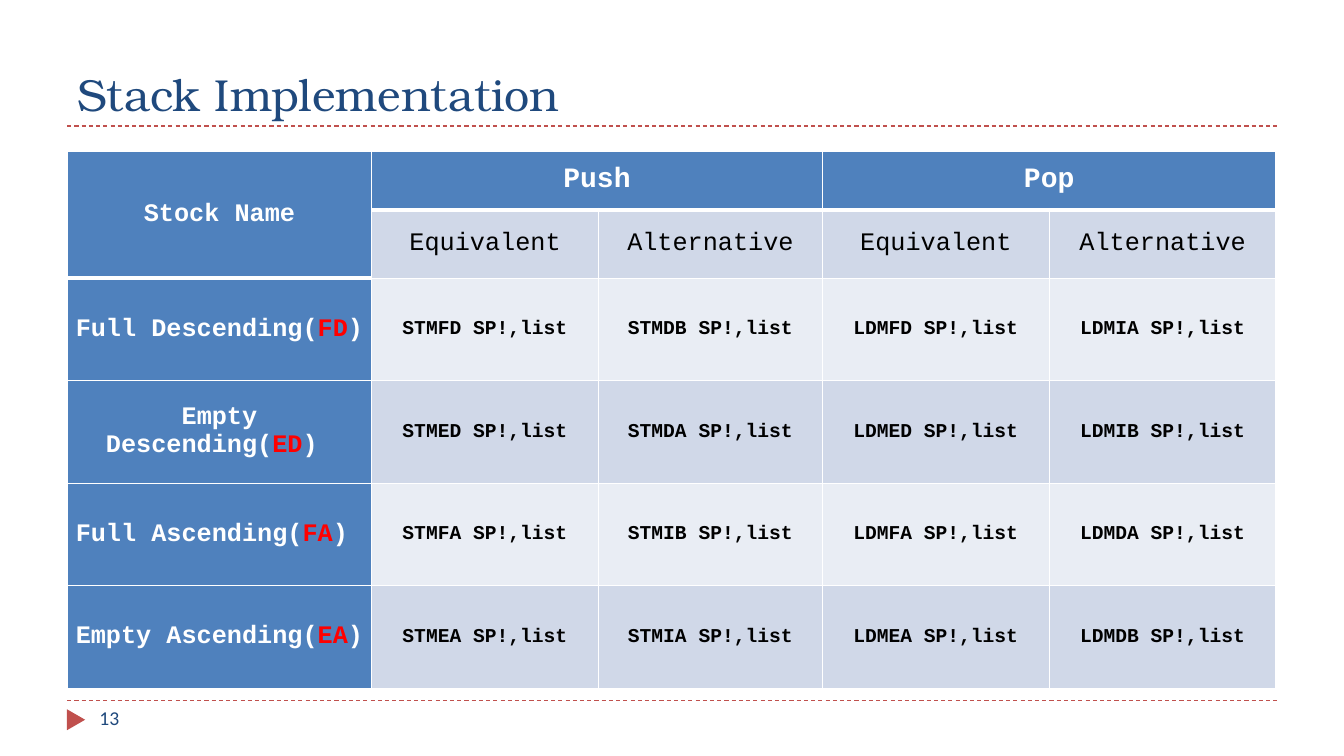
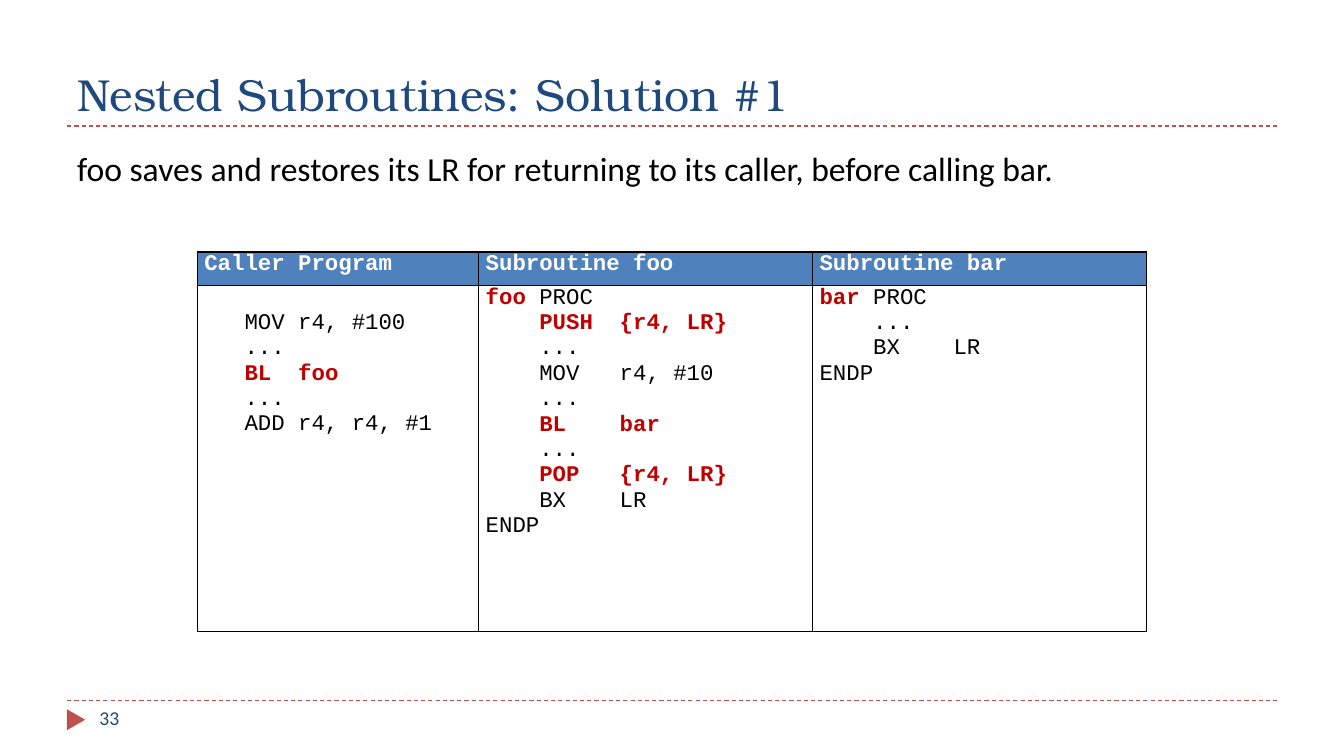
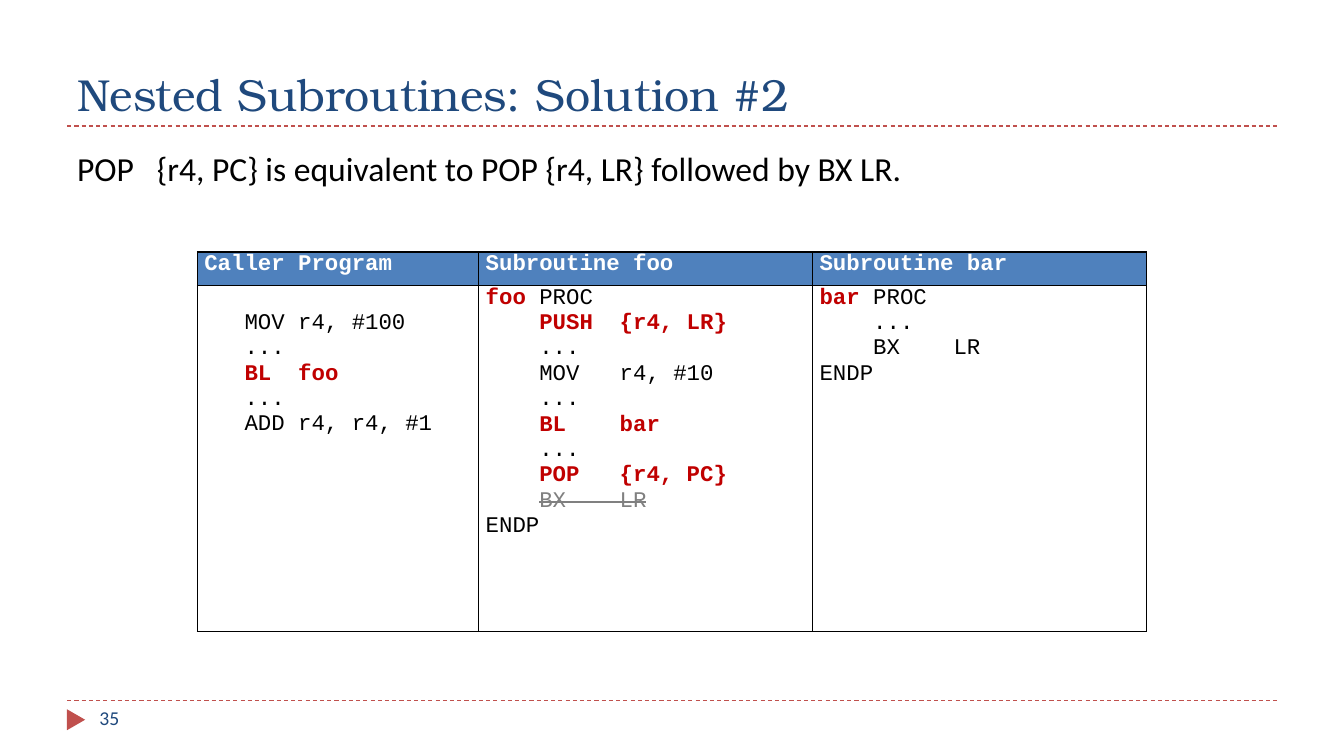
from lxml.etree import SubElement
from pptx import Presentation
from pptx.dml.color import RGBColor
from pptx.enum.dml import MSO_LINE
from pptx.enum.shapes import MSO_CONNECTOR, MSO_SHAPE
from pptx.enum.text import MSO_ANCHOR as ANCHOR, MSO_AUTO_SIZE, PP_ALIGN as ALIGN
from pptx.oxml.ns import qn
from pptx.util import Pt

NAVY = RGBColor(0x1F, 0x49, 0x7D)
BLUE = RGBColor(0x4F, 0x81, 0xBD)
BRICK = RGBColor(0xC0, 0x50, 0x4D)
CRIMSON = RGBColor(0xC0, 0x00, 0x00)
RED = RGBColor(0xFF, 0x00, 0x00)
GREY = RGBColor(0x80, 0x80, 0x80)
DARK_BAND = RGBColor(0xD0, 0xD8, 0xE8)
LIGHT_BAND = RGBColor(0xE9, 0xED, 0xF4)
BLACK = RGBColor(0, 0, 0)
WHITE = RGBColor(0xFF, 0xFF, 0xFF)

TITLE_FONT, BODY_FONT, CODE_FONT = "TeX Gyre Bonum", "Calibri", "Courier New"
LEFT, CONTENT_WIDTH = 48, 864
RULE_TOPS = (90, 500.4)
CODE_LINE = 18.1

# Slide content: a line is a string or a list of strings and (text, format) runs
KEY = {"color": CRIMSON, "bold": True}
STRUCK = {"color": GREY, "strike": True}

OPERATIONS = ("Push", "Pop")
FORMS = ("Equivalent", "Alternative")
STACKS = [
    ("Full Descending", "FD", ("STMFD", "STMDB", "LDMFD", "LDMIA")),
    ("Empty Descending", "ED", ("STMED", "STMDA", "LDMED", "LDMIB")),
    ("Full Ascending", "FA", ("STMFA", "STMIB", "LDMFA", "LDMDA")),
    ("Empty Ascending", "EA", ("STMEA", "STMIA", "LDMEA", "LDMDB")),
]
STACK_COLUMNS = (217.5, 162, 160, 162, 162)
STACK_ROWS = (41.8, 49) + (73.2,) * len(STACKS)

PROGRAM_HEADS = ("Caller Program", "Subroutine foo", "Subroutine bar")
PROGRAM_COLUMNS = (201, 238.5, 238.5)
PROGRAM_ROWS = (24, 247)
CALLER = [
    "   MOV r4, #100",
    "   ...",
    ["   ", ("BL  foo", KEY)],
    "   ...",
    "   ADD r4, r4, #1",
]
FOO_START = [
    [("foo ", KEY), "PROC"],
    ["    ", ("PUSH  {r4, LR}", KEY)],
    "    ...",
    "    MOV   r4, #10",
    "    ...",
    ["    ", ("BL    bar", KEY)],
    "    ...",
]
BAR = [[("bar", KEY), " PROC"], "    ...", "    BX    LR", "ENDP"]

SOLUTIONS = [
    {
        "title": "Nested Subroutines: Solution #1",
        "number": 33,
        "summary": "foo saves and restores its LR for returning to its caller, "
                   "before calling bar.",
        "foo_end": [["    ", ("POP   {r4, LR}", KEY)], "    BX    LR", "ENDP"],
    },
    {
        "title": "Nested Subroutines: Solution #2",
        "number": 35,
        "summary": "POP   {r4, PC} is equivalent to POP {r4, LR} followed by BX LR.",
        "foo_end": [["    ", ("POP   {r4, PC}", KEY)],
                    ["    ", ("BX    LR", STRUCK)], "ENDP"],
    },
]


def write(frame, lines, *, font, size, color, bold=False, align=ALIGN.LEFT):
    """Fill a text frame; a run's own format overrides the colour and weight."""
    for index, line in enumerate(lines):
        paragraph = frame.paragraphs[0] if index == 0 else frame.add_paragraph()
        paragraph.alignment = align
        for part in [line] if isinstance(line, str) else line:
            text, own = (part, {}) if isinstance(part, str) else part
            run = paragraph.add_run()
            run.text = text
            run.font.name = font
            run.font.size = Pt(size)
            run.font.bold = own.get("bold", bold)
            run.font.color.rgb = own.get("color", color)
            if own.get("strike"):
                run.font._element.set("strike", "sngStrike")


def place(shape, left, top, width, height):
    shape.left, shape.top = Pt(left), Pt(top)
    shape.width, shape.height = Pt(width), Pt(height)


def add_text(slide, text, left, top, width, height, **text_format):
    frame = slide.shapes.add_textbox(Pt(left), Pt(top), Pt(width), Pt(height)).text_frame
    frame.word_wrap = True
    write(frame, [text], **text_format)


def add_rule(slide, top):
    rule = slide.shapes.add_connector(
        MSO_CONNECTOR.STRAIGHT, Pt(LEFT), Pt(top), Pt(LEFT + CONTENT_WIDTH), Pt(top))
    rule.line.color.rgb = BRICK
    rule.line.width = Pt(0.75)
    rule.line.dash_style = MSO_LINE.DASH
    SubElement(rule._element.spPr, qn("a:effectLst"))


def add_slide(deck, title, number):
    """Add a slide with the shared title, rules, page marker and number."""
    slide = deck.slides.add_slide(deck.slide_layouts[5])
    heading = slide.shapes.title
    place(heading, LEFT, 12, CONTENT_WIDTH, 78)
    heading.text_frame.auto_size = MSO_AUTO_SIZE.NONE
    heading.text_frame.vertical_anchor = ANCHOR.BOTTOM
    write(heading.text_frame, [title], font=TITLE_FONT, size=32, color=NAVY)
    for top in RULE_TOPS:
        add_rule(slide, top)
    marker = slide.shapes.add_shape(
        MSO_SHAPE.ISOSCELES_TRIANGLE, Pt(46.8), Pt(507.6), Pt(15), Pt(13))
    marker.rotation = 90
    marker.shadow.inherit = False
    marker.fill.solid()
    marker.fill.fore_color.rgb = BRICK
    marker.line.fill.background()
    add_text(slide, str(number), 64, 500.4, 208, 28.8,
             font=BODY_FONT, size=14, color=NAVY)
    return slide


def add_grid(slide, left, top, columns, rows):
    table = slide.shapes.add_table(
        len(rows), len(columns), Pt(left), Pt(top), Pt(sum(columns)), Pt(sum(rows))).table
    table.first_row = table.horz_banding = False
    for column, width in zip(table.columns, columns):
        column.width = Pt(width)
    for row, height in zip(table.rows, rows):
        row.height = Pt(height)
    return table


def style_cell(cell, border, fill=None, top=1, bottom=1, anchor=ANCHOR.TOP, inset=0):
    """Set borders (top and bottom widths may differ), fill, margins and anchor."""
    cell.margin_left = cell.margin_right = Pt(5)
    cell.margin_top, cell.margin_bottom = Pt(inset), Pt(0)
    cell.vertical_anchor = anchor
    properties = cell._tc.get_or_add_tcPr()
    for side, width in (("L", 1), ("R", 1), ("T", top), ("B", bottom)):
        edge = SubElement(properties, qn(f"a:ln{side}"), w=str(Pt(width)))
        solid = SubElement(edge, qn("a:solidFill"))
        SubElement(solid, qn("a:srgbClr"), val=str(border))
    if fill is None:
        cell.fill.background()
    else:
        cell.fill.solid()
        cell.fill.fore_color.rgb = fill


def add_stack_slide(deck):
    slide = add_slide(deck, "Stack Implementation", 13)
    table = add_grid(slide, LEFT, 108, STACK_COLUMNS, STACK_ROWS)
    for r in range(len(STACK_ROWS)):
        for c in range(len(STACK_COLUMNS)):
            last_head = 1 if c == 0 else 0
            band = DARK_BAND if r % 2 else LIGHT_BAND
            style_cell(table.cell(r, c), WHITE,
                       fill=BLUE if r == 0 or c == 0 else band,
                       top=3 if r == last_head + 1 else 1,
                       bottom=3 if r == last_head else 1,
                       anchor=ANCHOR.MIDDLE)
    table.cell(0, 0).merge(table.cell(1, 0))

    def fill_in(row, column, line, size=18, color=WHITE, bold=True):
        write(table.cell(row, column).text_frame, [line], font=CODE_FONT,
              size=size, color=color, bold=bold, align=ALIGN.CENTER)

    fill_in(0, 0, "Stock Name")
    for i, operation in enumerate(OPERATIONS):
        first = 1 + i * len(FORMS)
        table.cell(0, first).merge(table.cell(0, first + len(FORMS) - 1))
        fill_in(0, first, operation, size=20)
        for c, form in enumerate(FORMS, first):
            fill_in(1, c, form, color=BLACK, bold=False)
    for r, (name, code, instructions) in enumerate(STACKS, 2):
        fill_in(r, 0, [f"{name}(", (code, {"color": RED}), ") "])
        for c, instruction in enumerate(instructions, 1):
            fill_in(r, c, f"{instruction} SP!,list", size=14, color=BLACK)


def add_solution_slide(deck, title, number, summary, foo_end):
    slide = add_slide(deck, title, number)
    table = add_grid(slide, 141, 180, PROGRAM_COLUMNS, PROGRAM_ROWS)
    programs = (CALLER, FOO_START + foo_end, BAR)
    for c, (head, program) in enumerate(zip(PROGRAM_HEADS, programs)):
        head_cell, code_cell = table.cell(0, c), table.cell(1, c)
        style_cell(head_cell, BLACK, fill=BLUE)
        write(head_cell.text_frame, [head], font=CODE_FONT, size=16,
              color=WHITE, bold=True)
        # The caller's code starts level with the first line inside foo
        style_cell(code_cell, BLACK, inset=CODE_LINE if program is CALLER else 0)
        write(code_cell.text_frame, program, font=CODE_FONT, size=16, color=BLACK)
    add_text(slide, summary, LEFT, 102, CONTENT_WIDTH, 36,
             font=BODY_FONT, size=24, color=BLACK)


def main():
    deck = Presentation()
    deck.slide_width, deck.slide_height = Pt(960), Pt(540)
    add_stack_slide(deck)
    for solution in SOLUTIONS:
        add_solution_slide(deck, **solution)
    deck.save("out.pptx")


if __name__ == "__main__":
    main()
